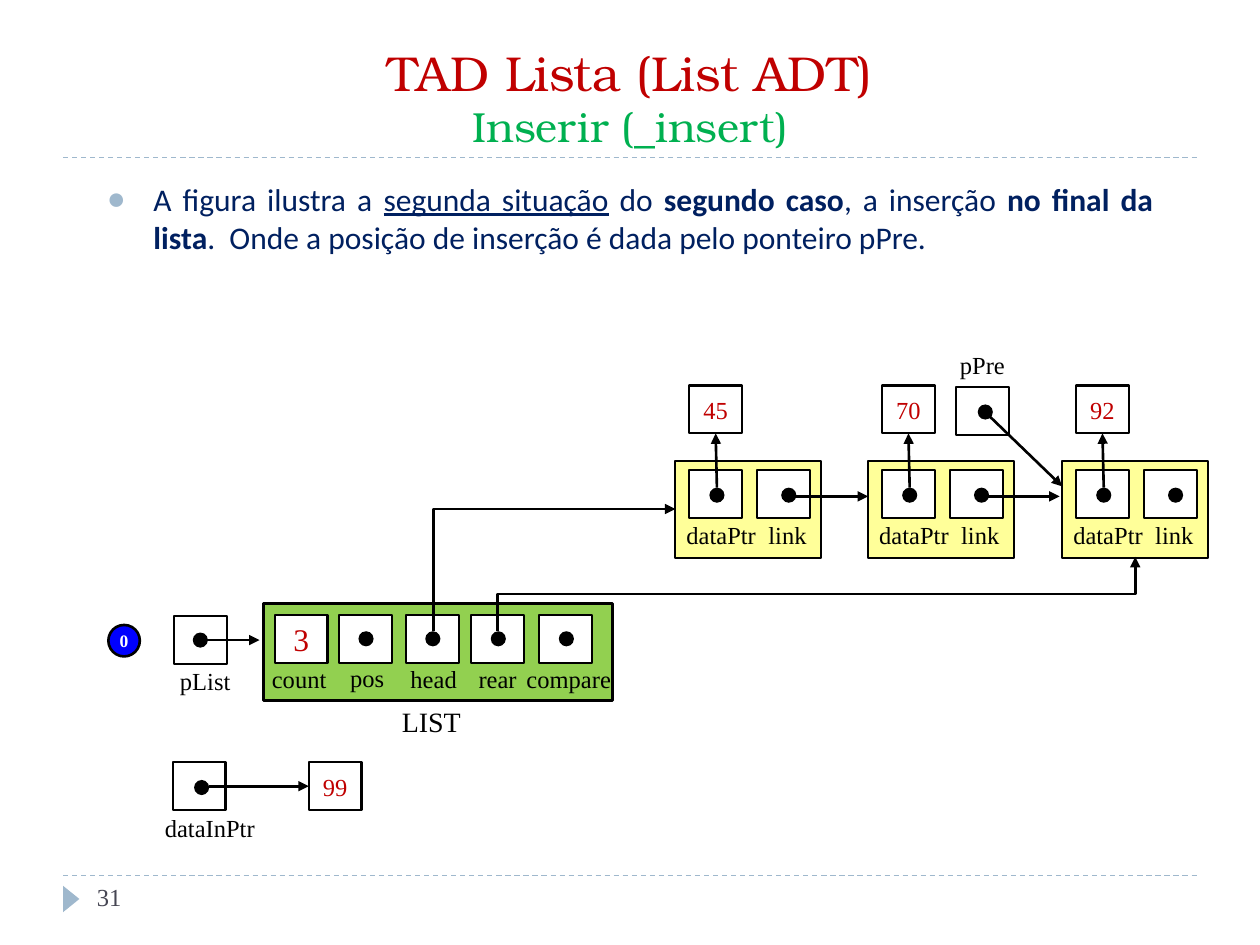
import pptx
import pptx.dml.color
import pptx.enum.dml
import pptx.enum.shapes
import pptx.enum.text
import pptx.oxml
import pptx.oxml.ns
import pptx.util
from pptx.util import Inches

SHAPE = pptx.enum.shapes.MSO_SHAPE
CONNECTOR = pptx.enum.shapes.MSO_CONNECTOR
ALIGN = pptx.enum.text.PP_ALIGN
ANCHOR = pptx.enum.text.MSO_ANCHOR

SERIF = "Times New Roman"
BLACK, WHITE, RED, MIST = "000000", "FFFFFF", "C00000", "9FB8CD"
CELL_W, CELL_H, DOT = 0.42, 0.38, 0.12
NODE_W, NODE_H, NODE_TOP = 1.16, 0.77, 3.66


def rgb(hex_colour):
    return pptx.dml.color.RGBColor.from_string(hex_colour)


def add_xml(parent, tag, **attributes):
    element = pptx.oxml.parse_xml(f"<a:{tag} {pptx.oxml.ns.nsdecls('a')}/>")
    for name, value in attributes.items():
        element.set(name, value)
    parent.append(element)
    return element


def write(frame, runs, size=14, font=SERIF, colour=BLACK, align=ALIGN.LEFT,
          anchor=ANCHOR.TOP, wrap=True, bullet=None, indent=0.37):
    """Fill a frame with one paragraph; runs is a string or (text, changes) pairs."""
    frame.word_wrap = wrap
    frame.vertical_anchor = anchor
    paragraph = frame.paragraphs[0]
    paragraph.alignment = align
    if bullet:
        properties = paragraph._p.get_or_add_pPr()
        properties.set("marL", str(Inches(indent)))
        properties.set("indent", str(Inches(-indent)))
        add_xml(add_xml(properties, "buClr"), "srgbClr", val=MIST)
        add_xml(properties, "buFont", typeface="Arial")
        add_xml(properties, "buChar", char=bullet)
    for text, changes in [(runs, {})] if isinstance(runs, str) else runs:
        run = paragraph.add_run()
        run.text = text.rstrip("\n")
        if text.endswith("\n"):
            paragraph.add_line_break()
        run.font.name = font
        run.font.size = pptx.util.Pt(changes.get("size", size))
        run.font.color.rgb = rgb(changes.get("colour", colour))
        run.font.bold = changes.get("bold", False)
        run.font.underline = changes.get("underline", False)


class Diagram:
    """Draws the elements of a linked-list diagram on one slide."""

    def __init__(self, slide):
        self.shapes = slide.shapes

    def shape(self, kind, left, top, width, height, fill, line=None, weight=1.25):
        shape = self.shapes.add_shape(
            kind, Inches(left), Inches(top), Inches(width), Inches(height))
        shape.shadow.inherit = False
        shape.fill.solid()
        shape.fill.fore_color.rgb = rgb(fill)
        if line:
            shape.line.color.rgb = rgb(line)
            shape.line.width = pptx.util.Pt(weight)
        else:
            shape.line.fill.background()
        return shape

    def cell(self, left, top, value=None, size=14):
        cell = self.shape(SHAPE.RECTANGLE, left, top, CELL_W, CELL_H, WHITE, BLACK)
        if value:
            write(cell.text_frame, value, size=size, colour=RED,
                  align=ALIGN.CENTER, anchor=ANCHOR.MIDDLE)
        return cell

    def dot(self, left, top):
        self.shape(SHAPE.OVAL, left, top, DOT, DOT, BLACK)

    def text(self, runs, left, top, width, height, **style):
        box = self.shapes.add_textbox(
            Inches(left), Inches(top), Inches(width), Inches(height))
        write(box.text_frame, runs, **style)

    def label(self, name, left, top, width, size=14):
        self.text(name, left, top, width, 0.34, size=size, wrap=False)

    def line(self, start, end, colour=BLACK, weight=1.5, kind=CONNECTOR.STRAIGHT):
        line = self.shapes.add_connector(kind, *map(Inches, start + end))
        add_xml(line._element.spPr, "effectLst")
        line.line.color.rgb = rgb(colour)
        line.line.width = pptx.util.Pt(weight)
        return line

    def rule(self, y):
        line = self.line((0.5, y), (9.5, y), MIST, 0.75)
        line.line.dash_style = pptx.enum.dml.MSO_LINE.DASH

    def arrow(self, start, end, target=None, side=None, **style):
        arrow = self.line(start, end, **style)
        add_xml(arrow.line._get_or_add_ln(), "tailEnd", type="triangle")
        if target is not None:
            arrow.end_connect(target, side)
        return arrow

    def rising_elbow(self, start, end, preset):
        """Elbow arrow that leaves upwards: a preset turned by 270 degrees."""
        arrow = self.arrow(start, end, kind=CONNECTOR.ELBOW)
        run, rise = end[0] - start[0], start[1] - end[1]
        properties = arrow._element.spPr
        properties.prstGeom.set("prst", preset)
        properties.xfrm.set("rot", str(270 * 60000))
        properties.xfrm.attrib.pop("flipV", None)
        arrow.left = Inches((start[0] + end[0] - rise) / 2)
        arrow.top = Inches((start[1] + end[1] - run) / 2)
        arrow.width, arrow.height = Inches(rise), Inches(run)

    def node(self, left, value, link_end=None):
        self.shape(SHAPE.RECTANGLE, left, NODE_TOP, NODE_W, NODE_H, "FFFF99", BLACK)
        self.label("dataPtr", left - 0.01, 4.08, 0.76)
        self.label("link", left + 0.64, 4.08, 0.51)
        for cell_left in (left + 0.11, left + 0.65):
            self.cell(cell_left, 3.73)
        data = self.cell(left + 0.11, 3.06, value)
        self.arrow((left + 0.33, 3.87), (left + 0.32, 3.44), data, 2)
        if link_end:
            self.arrow((left + 0.9, 3.94), (link_end, 3.94))
        for dot_left in (left + 0.27, left + 0.84):
            self.dot(dot_left, 3.87)


def main():
    deck = pptx.Presentation()
    deck.slide_width, deck.slide_height = Inches(10), Inches(7.5)
    diagram = Diagram(deck.slides.add_slide(deck.slide_layouts[6]))

    for y in (6.95, 1.25):
        diagram.rule(y)
    diagram.shape(SHAPE.ISOSCELES_TRIANGLE, 0.46, 7.07, 0.21, 0.13, MIST).rotation = 90
    diagram.text([("TAD Lista (List ADT)\n", {"size": 28, "colour": RED}),
                  ("Inserir (_insert)", {"size": 24, "colour": "00B050"})],
                 0.5, 0.25, 9, 1, font="TeX Gyre Bonum",
                 align=ALIGN.CENTER, anchor=ANCHOR.BOTTOM)
    diagram.text("31", 0.67, 6.95, 2.17, 0.4, colour="464653")
    diagram.text([("A figura ilustra a ", {}),
                  ("segunda situação", {"underline": True}),
                  (" do ", {}),
                  ("segundo caso", {"bold": True}),
                  (", a inserção ", {}),
                  ("no final da lista", {"bold": True}),
                  (".  Onde a posição de inserção é dada pelo ponteiro pPre.", {})],
                 0.75, 1.38, 8.5, 0.75, size=18, font="Calibri", colour="002060",
                 align=ALIGN.JUSTIFY, bullet="●")

    step = diagram.shape(SHAPE.OVAL, 0.86, 4.96, 0.25, 0.25, "0000FF", BLACK, 1.5)
    write(step.text_frame, [("0", {"bold": True})], size=10, colour=WHITE,
          align=ALIGN.CENTER, anchor=ANCHOR.MIDDLE, wrap=False)

    # New data to insert
    diagram.cell(1.37, 6.05)
    diagram.label("dataInPtr", 1.21, 6.4, 0.92)
    new_data = diagram.cell(2.45, 6.05, "99")
    diagram.arrow((1.66, 6.24), (2.45, 6.24), new_data, 1)
    diagram.dot(1.54, 6.19)

    # List header
    diagram.cell(1.38, 4.89)
    diagram.label("pList", 1.33, 5.24, 0.61)
    diagram.arrow((1.58, 5.08), (2.06, 5.08))
    diagram.dot(1.53, 5.02)
    diagram.label("LIST", 3.09, 5.54, 0.68, size=16)
    diagram.shape(SHAPE.RECTANGLE, 2.09, 4.79, 2.77, 0.77, "92D050", BLACK, 2)
    diagram.cell(2.18, 4.88, "3", size=18)
    diagram.label("count", 2.06, 5.22, 0.64)
    for field, cell_left, label_left, label_width in (
            ("pos", 2.69, 2.68, 0.48), ("head", 3.22, 3.16, 0.57),
            ("rear", 3.74, 3.7, 0.51), ("compare", 4.28, 4.08, 0.88)):
        diagram.cell(cell_left, 4.88)
        diagram.label(field, label_left, 5.21 if field == "pos" else 5.22, label_width)
        diagram.dot(cell_left + 0.155, 5.01)

    # Nodes and the pointers to them
    diagram.cell(7.59, 3.07)
    diagram.label("pPre", 7.52, 2.73, 0.56)
    diagram.dot(7.76, 3.21)
    for left, value, link_end in ((5.36, "45", 6.89), (6.89, "70", 8.41),
                                  (8.43, "92", None)):
        diagram.node(left, value, link_end)
    diagram.rising_elbow((3.44, 5.01), (5.36, 4.04), "bentConnector2")
    diagram.rising_elbow((3.95, 5.01), (9.01, 4.42), "bentConnector3")
    diagram.arrow((7.86, 3.31), (8.43, 3.86))

    deck.save("out.pptx")


if __name__ == "__main__":
    main()
